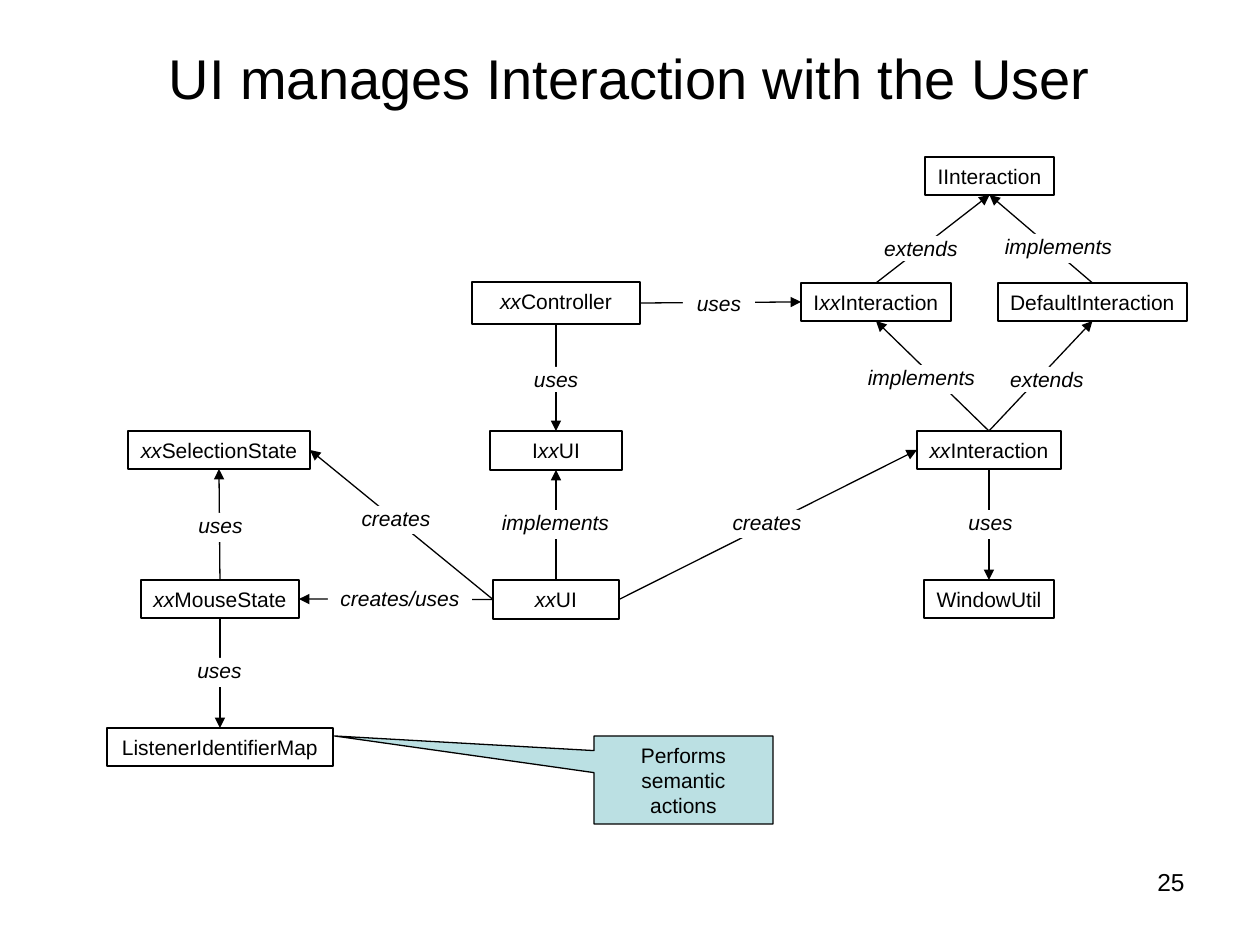
from pptx import Presentation
from pptx.dml.color import RGBColor
from pptx.enum.shapes import MSO_CONNECTOR, MSO_SHAPE
from pptx.enum.text import MSO_ANCHOR, MSO_AUTO_SIZE, PP_ALIGN
from pptx.oxml.ns import qn
from pptx.util import Emu, Pt
from lxml import etree

RECTANGLE = MSO_SHAPE.RECTANGLE
CALLOUT = MSO_SHAPE.RECTANGULAR_CALLOUT
STRAIGHT = MSO_CONNECTOR.STRAIGHT
CENTER, RIGHT_ALIGN = PP_ALIGN.CENTER, PP_ALIGN.RIGHT

BLACK = RGBColor(0x00, 0x00, 0x00)
WHITE = RGBColor(0xFF, 0xFF, 0xFF)
PALE_TEAL = RGBColor(0xBB, 0xE0, 0xE3)
FONT = "Arial"
PX_PER_INCH = 126
TOP, LEFT, BOTTOM, RIGHT = range(4)  # connection sites of a rectangle

TITLE = "UI manages Interaction with the User"
PAGE_NUMBER = "25"
NOTE = "Performs semantic actions"

# Class name: left, top, width, height
CLASSES = {
    "IInteraction": (925, 157, 129, 38),
    "xxController": (472, 282, 168, 42),
    "IxxInteraction": (801, 283, 150, 38),
    "DefaultInteraction": (998, 283, 189, 38),
    "xxSelectionState": (128, 431, 182, 38),
    "IxxUI": (490, 431, 132, 39),
    "xxInteraction": (917, 431, 144, 38),
    "xxMouseState": (141, 580, 158, 38),
    "xxUI": (493, 580, 126, 39),
    "WindowUtil": (924, 580, 130, 38),
    "ListenerIdentifierMap": (107, 728, 226, 38),
}

# From class and side, to class and side, label and its box
RELATIONS = [
    ("xxController", BOTTOM, "IxxUI", TOP, "uses", (520, 367, 72, 25)),
    ("xxController", RIGHT, "IxxInteraction", LEFT, "uses", (683, 291, 72, 25)),
    ("xxUI", TOP, "IxxUI", BOTTOM, "implements", (495, 510, 121, 29)),
    ("xxUI", RIGHT, "xxInteraction", LEFT, "creates", (724, 510, 86, 28)),
    ("xxUI", LEFT, "xxMouseState", RIGHT, "creates/uses", (328, 586, 144, 25)),
    ("xxUI", LEFT, "xxSelectionState", RIGHT, "creates", (353, 506, 86, 28)),
    ("xxInteraction", TOP, "IxxInteraction", BOTTOM, "implements", (861, 365, 121, 29)),
    ("xxInteraction", TOP, "DefaultInteraction", BOTTOM, "extends", (998, 367, 98, 25)),
    ("xxInteraction", BOTTOM, "WindowUtil", TOP, "uses", (930, 510, 121, 29)),
    ("IxxInteraction", TOP, "IInteraction", BOTTOM, "extends", (872, 236, 98, 25)),
    ("DefaultInteraction", TOP, "IInteraction", BOTTOM, "implements", (998, 234, 121, 29)),
    ("xxMouseState", TOP, "xxSelectionState", BOTTOM, "uses", (160, 513, 121, 29)),
    ("xxMouseState", BOTTOM, "ListenerIdentifierMap", TOP, "uses", (159, 658, 121, 29)),
]


def px(value):
    return Emu(round(value * 914400 / PX_PER_INCH))


def frame(box):
    return [px(value) for value in box]


def format_paragraph(paragraph, size, alignment=CENTER):
    paragraph.alignment = alignment
    paragraph.font.name = FONT
    paragraph.font.size = Pt(size)
    paragraph.font.color.rgb = BLACK


def add_box(slide, kind, box, fill, outlined=True):
    shape = slide.shapes.add_shape(kind, *frame(box))
    shape.shadow.inherit = False
    shape.fill.solid()
    shape.fill.fore_color.rgb = fill
    if outlined:
        shape.line.color.rgb = BLACK
        shape.line.width = Pt(0.75)
    else:
        shape.line.fill.background()
    text_frame = shape.text_frame
    text_frame.vertical_anchor = MSO_ANCHOR.TOP
    text_frame.word_wrap = False
    format_paragraph(text_frame.paragraphs[0], 12)
    return shape


def add_class(slide, name, box):
    shape = add_box(slide, RECTANGLE, box, WHITE)
    # The xx placeholder in a class name is italic
    for part in name.partition("xx"):
        if part:
            run = shape.text_frame.paragraphs[0].add_run()
            run.text = part
            if part == "xx":
                run.font.italic = True
    return shape


def add_arrow(slide, start, start_side, end, end_side):
    arrow = slide.shapes.add_connector(STRAIGHT, 0, 0, 0, 0)
    arrow.begin_connect(start, start_side)
    arrow.end_connect(end, end_side)
    arrow.line.color.rgb = BLACK
    arrow.line.width = Pt(0.75)
    etree.SubElement(arrow.line._get_or_add_ln(), qn("a:tailEnd"), type="triangle")
    etree.SubElement(arrow._element.spPr, qn("a:effectLst"))


def add_label(slide, text, box):
    text_frame = add_box(slide, RECTANGLE, box, WHITE, outlined=False).text_frame
    text_frame.margin_top = text_frame.margin_bottom = 0
    paragraph = text_frame.paragraphs[0]
    paragraph.add_run().text = text
    paragraph.font.italic = True


def main():
    presentation = Presentation()
    presentation.slide_width = px(1260)
    presentation.slide_height = px(945)
    slide = presentation.slides.add_slide(presentation.slide_layouts[5])

    # Title
    title = slide.shapes.title
    title.left, title.top, title.width, title.height = frame((63, 38, 1134, 78))
    title.text_frame.text = TITLE
    title.text_frame.vertical_anchor = MSO_ANCHOR.MIDDLE
    title.text_frame.auto_size = MSO_AUTO_SIZE.NONE
    format_paragraph(title.text_frame.paragraphs[0], 32)

    # Classes, then arrows, then the labels that interrupt them
    classes = {name: add_class(slide, name, box) for name, box in CLASSES.items()}
    for start, start_side, end, end_side, _, _ in RELATIONS:
        add_arrow(slide, classes[start], start_side, classes[end], end_side)
    for *_, label, box in RELATIONS:
        add_label(slide, label, box)

    # Callout pointing at the listener map
    callout = add_box(slide, CALLOUT, (594, 736, 179, 88), PALE_TEAL)
    callout.adjustments[0] = -1.95
    callout.adjustments[1] = -0.5
    callout.text_frame.word_wrap = True
    callout.text_frame.paragraphs[0].add_run().text = NOTE

    # Page number
    number = slide.shapes.add_textbox(*frame((977, 861, 220, 65)))
    number.text_frame.word_wrap = True
    number.text_frame.text = PAGE_NUMBER
    format_paragraph(number.text_frame.paragraphs[0], 14, RIGHT_ALIGN)

    presentation.save("out.pptx")


if __name__ == "__main__":
    main()
